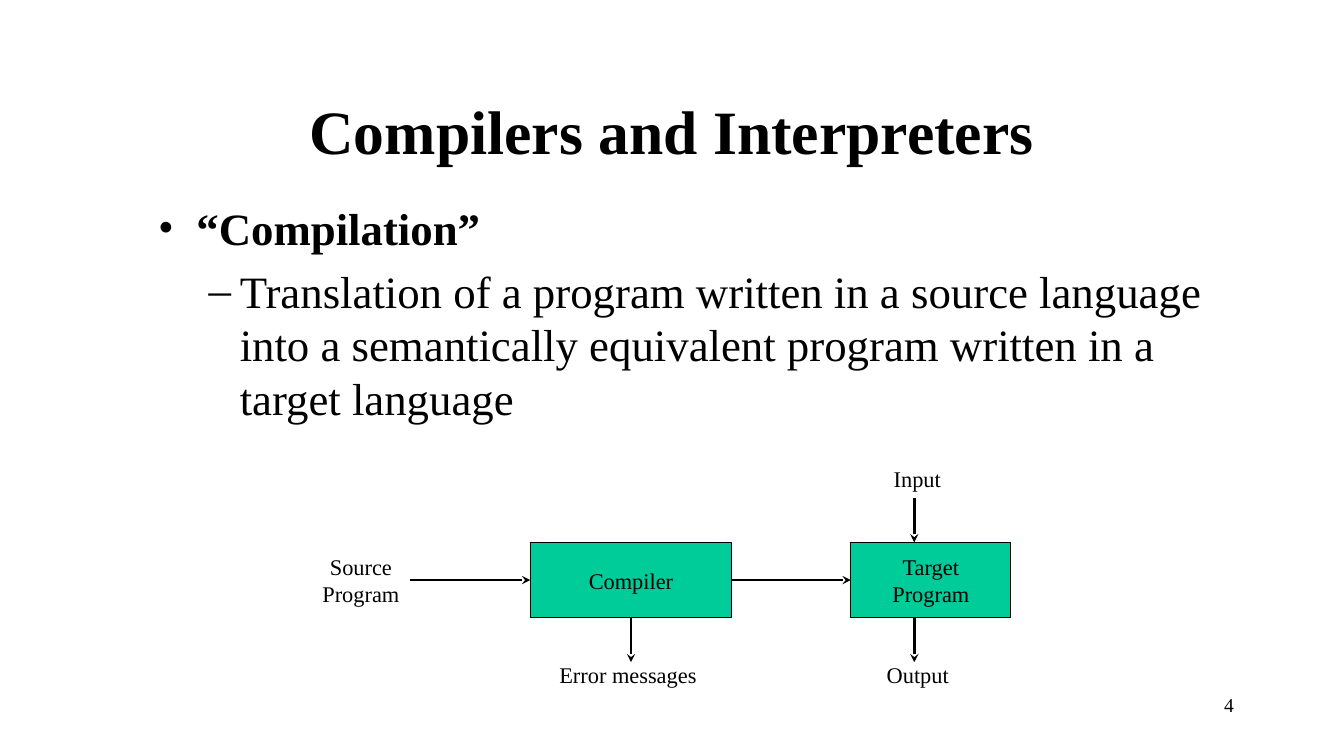
from lxml import etree
from pptx import Presentation
from pptx.dml.color import RGBColor
from pptx.enum.shapes import MSO_CONNECTOR, MSO_SHAPE
from pptx.enum.text import MSO_ANCHOR, MSO_AUTO_SIZE, PP_ALIGN
from pptx.oxml.ns import qn
from pptx.util import Inches, Pt

BLACK = RGBColor(0x00, 0x00, 0x00)
GREEN = RGBColor(0x00, 0xCC, 0x99)
FONT = "Times New Roman"
COLUMNS, ROWS = 40, 22.5


class SlideBuilder:
    """Places styled elements on a slide, measured in grid columns and rows."""

    def __init__(self, presentation):
        self.cell_width = presentation.slide_width / COLUMNS
        self.cell_height = presentation.slide_height / ROWS
        self.slide = presentation.slides.add_slide(presentation.slide_layouts[5])

    def point(self, column, row):
        return round(column * self.cell_width), round(row * self.cell_height)

    def area(self, column, row, width, height):
        return self.point(column, row) + self.point(width, height)

    def add_text(self, paragraph, text, size, bold=False, align=PP_ALIGN.LEFT):
        paragraph.alignment = align
        run = paragraph.add_run()
        run.text = text
        run.font.name = FONT
        run.font.size = Pt(size)
        run.font.bold = bold
        run.font.color.rgb = BLACK

    def add_lines(self, frame, lines, size, align):
        for index, line in enumerate(lines):
            paragraph = frame.add_paragraph() if index else frame.paragraphs[0]
            self.add_text(paragraph, line, size, align=align)

    def title(self, text, *area):
        shape = self.slide.shapes.title
        shape.left, shape.top, shape.width, shape.height = self.area(*area)
        frame = shape.text_frame
        frame.vertical_anchor = MSO_ANCHOR.MIDDLE
        self.add_text(frame.paragraphs[0], text, 44, True, PP_ALIGN.CENTER)

    def bullets(self, items, *area):
        frame = self.slide.shapes.add_textbox(*self.area(*area)).text_frame
        frame.word_wrap = True
        for level, (mark, text, bold, margin, hanging) in enumerate(items):
            paragraph = frame.add_paragraph() if level else frame.paragraphs[0]
            self.add_text(paragraph, text, 32, bold)
            paragraph.level = level
            paragraph.space_before = Pt(6.4)
            properties = paragraph._p.get_or_add_pPr()
            properties.set("marL", str(Inches(margin)))
            properties.set("indent", str(-Inches(hanging)))
            etree.SubElement(properties, qn("a:buFont"), typeface=FONT)
            etree.SubElement(properties, qn("a:buChar"), char=mark)

    def label(self, lines, *area, size=16, align=PP_ALIGN.CENTER, wrap=False):
        frame = self.slide.shapes.add_textbox(*self.area(*area)).text_frame
        frame.word_wrap = wrap
        if not wrap:
            frame.auto_size = MSO_AUTO_SIZE.SHAPE_TO_FIT_TEXT
        self.add_lines(frame, lines, size, align)

    def box(self, lines, *area):
        shape = self.slide.shapes.add_shape(MSO_SHAPE.RECTANGLE, *self.area(*area))
        shape.shadow.inherit = False
        shape.fill.solid()
        shape.fill.fore_color.rgb = GREEN
        shape.line.color.rgb = BLACK
        shape.line.width = Pt(0.75)
        frame = shape.text_frame
        frame.word_wrap = False
        frame.vertical_anchor = MSO_ANCHOR.MIDDLE
        self.add_lines(frame, lines, 16, PP_ALIGN.CENTER)

    def arrow(self, start, end):
        connector = self.slide.shapes.add_connector(
            MSO_CONNECTOR.STRAIGHT, *self.point(*start), *self.point(*end))
        connector.line.color.rgb = BLACK
        connector.line.width = Pt(2)
        properties = connector._element.spPr
        etree.SubElement(properties.get_or_add_ln(), qn("a:tailEnd"), type="stealth")
        etree.SubElement(properties, qn("a:effectLst"))


def main():
    presentation = Presentation()
    presentation.slide_width = Inches(13.33)
    presentation.slide_height = Inches(7.5)
    builder = SlideBuilder(presentation)

    # Heading and definition
    builder.title("Compilers and Interpreters", 3, 2, 34, 3.75)
    builder.bullets([
        ("•", "“Compilation”", True, 0.38, 0.38),
        ("–", "Translation of a program written in a source language into a "
              "semantically equivalent program written in a target language",
         False, 0.81, 0.31),
    ], 4.41, 5.82, 32.13, 6.93)

    # Processing boxes
    box_top, box_height = 16.14, 2.25
    box_bottom = box_top + box_height
    compiler_left, compiler_width = 15.78, 6
    compiler_right = compiler_left + compiler_width
    target_left = 25.32
    builder.box(["Compiler"], compiler_left, box_top, compiler_width, box_height)
    builder.box(["Target", "Program"], target_left, box_top, 4.77, box_height)

    # Horizontal flow
    flow_row = box_top + box_height / 2
    for start, end in ((12.21, compiler_left), (compiler_right, target_left)):
        builder.arrow((start, flow_row), (end, flow_row))

    # Vertical flow
    arrow_length = 1.32
    compiler_middle, data_column = compiler_left + compiler_width / 2, 27.21
    for column, row in ((compiler_middle, box_bottom), (data_column, box_bottom),
                        (data_column, box_top - arrow_length)):
        builder.arrow((column, row), (column, row + arrow_length))

    # Flow labels
    output_row, line_height = 19.53, 1.11
    builder.label(["Source", "Program"], 9.27, 16.32, 2.94, 1.92)
    builder.label(["Error messages"], 16.32, output_row, 4.74, line_height)
    builder.label(["Input"], 26.28, 13.71, 2.04, line_height)
    builder.label(["Output"], 26.07, output_row, 2.49, line_height)

    # Slide number
    builder.label(["4"], 28.68, 20.49, 8.34, 1.5, size=14, align=PP_ALIGN.RIGHT, wrap=True)

    presentation.save("out.pptx")


if __name__ == "__main__":
    main()
